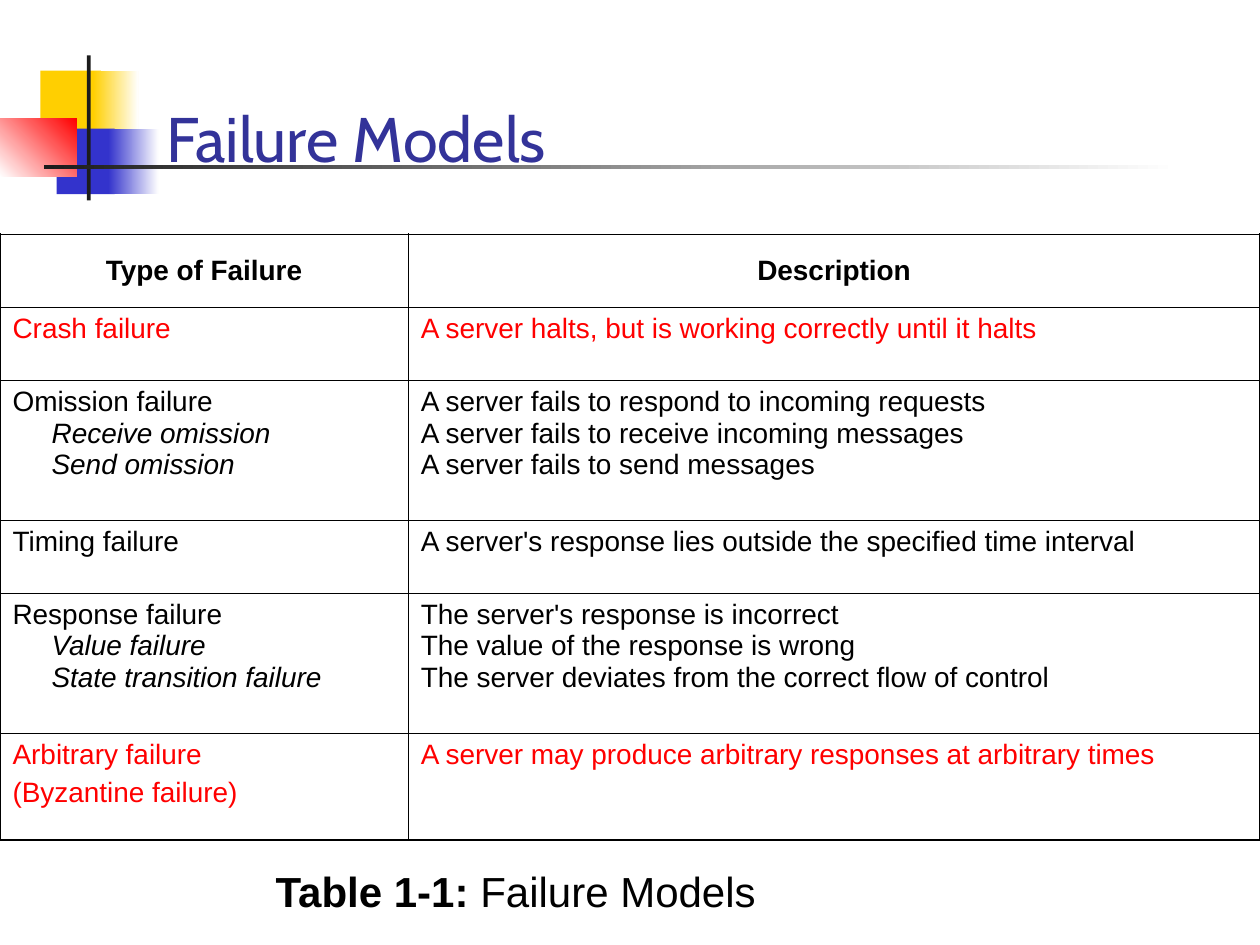
import pptx
import pptx.util
import pptx.dml.color
import pptx.enum.shapes
import pptx.enum.text
import pptx.oxml
import pptx.oxml.ns

Inches = pptx.util.Inches
Pt = pptx.util.Pt
RGBColor = pptx.dml.color.RGBColor
Anchor = pptx.enum.text.MSO_ANCHOR

YELLOW = RGBColor(0xFF, 0xCF, 0x01)
BLUE = RGBColor(0x33, 0x33, 0xCC)
RED = RGBColor(0xFF, 0x00, 0x00)
CHARCOAL = RGBColor(0x1C, 0x1C, 0x1C)
WHITE = RGBColor(0xFF, 0xFF, 0xFF)
BLACK = RGBColor(0x00, 0x00, 0x00)
TITLE_BLUE = RGBColor(0x33, 0x33, 0x99)


def style_font(font, name, size, color, bold=False, italic=False):
    font.name = name
    font.size = Pt(size)
    font.color.rgb = color
    font.bold = bold
    font.italic = italic


def add_border(cell, side, points):
    cell._tc.get_or_add_tcPr().append(pptx.oxml.parse_xml(
        f'<a:{side} {pptx.oxml.ns.nsdecls("a")} w="{Pt(points)}">'
        f'<a:solidFill><a:srgbClr val="{BLACK}"/></a:solidFill></a:{side}>'))


deck = pptx.Presentation()
deck.slide_width = Inches(10)
deck.slide_height = Inches(7.5)
slide = deck.slides.add_slide(deck.slide_layouts[6])

ornaments = [
    (0.32, 0.56, 0.48, 0.52, YELLOW, None, 0),
    (0.74, 0.56, 0.36, 0.52, YELLOW, WHITE, 0),
    (0.45, 1.02, 0.46, 0.52, BLUE, None, 0),
    (0.86, 1.02, 0.4, 0.52, BLUE, WHITE, 0),
    (0, 0.94, 0.61, 0.46, WHITE, RED, 45),
    (0.69, 0.44, 0.03, 1.15, CHARCOAL, None, 0),
    (0.35, 1.31, 9, 0.03, CHARCOAL, WHITE, 0),
]
for left, top, width, height, start, end, angle in ornaments:
    ornament = slide.shapes.add_shape(
        pptx.enum.shapes.MSO_SHAPE.RECTANGLE,
        Inches(left), Inches(top), Inches(width), Inches(height))
    ornament.shadow.inherit = False
    ornament.line.fill.background()
    if end is None:
        ornament.fill.solid()
        ornament.fill.fore_color.rgb = start
    else:
        ornament.fill.gradient()
        ornament.fill.gradient_angle = angle
        for stop, color in zip(ornament.fill.gradient_stops, (start, end)):
            stop.color.rgb = color

title = slide.shapes.add_textbox(Inches(1.22), Inches(0.52), Inches(8.52), Inches(0.92)).text_frame
title.word_wrap = True
title.vertical_anchor = Anchor.BOTTOM
title.paragraphs[0].text = "Failure Models"
style_font(title.paragraphs[0].font, "Cabin", 36, TITLE_BLUE)

failures = [
    (0.58, BLACK, ["Type of Failure"], ["Description"]),
    (0.58, RED, ["Crash failure"],
     ["A server halts, but is working correctly until it halts"]),
    (1.11, BLACK, ["Omission failure", "Receive omission", "Send omission"],
     ["A server fails to respond to incoming requests",
      "A server fails to receive incoming messages",
      "A server fails to send messages"]),
    (0.58, BLACK, ["Timing failure"],
     ["A server's response lies outside the specified time interval"]),
    (1.11, BLACK, ["Response failure", "Value failure", "State transition failure"],
     ["The server's response is incorrect",
      "The value of the response is wrong",
      "The server deviates from the correct flow of control"]),
    (0.85, RED, ["Arbitrary failure", "(Byzantine failure)"],
     ["A server may produce arbitrary responses at arbitrary times"]),
]
last_row = len(failures) - 1
table = slide.shapes.add_table(
    len(failures), 2, Inches(0), Inches(1.86), Inches(10), Inches(4.8)).table
table.first_row = False
table.horz_banding = False
table.columns[0].width = Inches(3.24)
table.columns[1].width = Inches(6.76)

for row, (height, color, kinds, descriptions) in enumerate(failures):
    table.rows[row].height = Inches(height)
    for column, lines in enumerate((kinds, descriptions)):
        cell = table.cell(row, column)
        outer_edges = {"lnL": column == 0, "lnR": column == 1,
                       "lnT": row == 0, "lnB": row == last_row}
        for side, outer in outer_edges.items():
            add_border(cell, side, 1.08 if outer else 0.45)
        cell.fill.background()
        cell.vertical_anchor = Anchor.MIDDLE if row == 0 else Anchor.TOP
        cell.text = "\n".join(lines)
        for number, paragraph in enumerate(cell.text_frame.paragraphs):
            subtype = column == 0 and number > 0 and color == BLACK
            if subtype:
                paragraph._p.get_or_add_pPr().set("marL", str(Inches(0.31)))
            elif number > 0 and color == RED:
                paragraph.space_before = Pt(4)
            if row == 0:
                paragraph.alignment = pptx.enum.text.PP_ALIGN.CENTER
            style_font(paragraph.font, "Arial", 16, color, bold=row == 0, italic=subtype)

caption = slide.shapes.add_textbox(Inches(2.09), Inches(6.82), Inches(6.13), Inches(0.5)).text_frame
caption.word_wrap = True
for text, bold in (("Table 1-1:", True), (" Failure Models", False)):
    run = caption.paragraphs[0].add_run()
    run.text = text
    style_font(run.font, "Arial", 24, BLACK, bold=bold)

deck.save("out.pptx")
